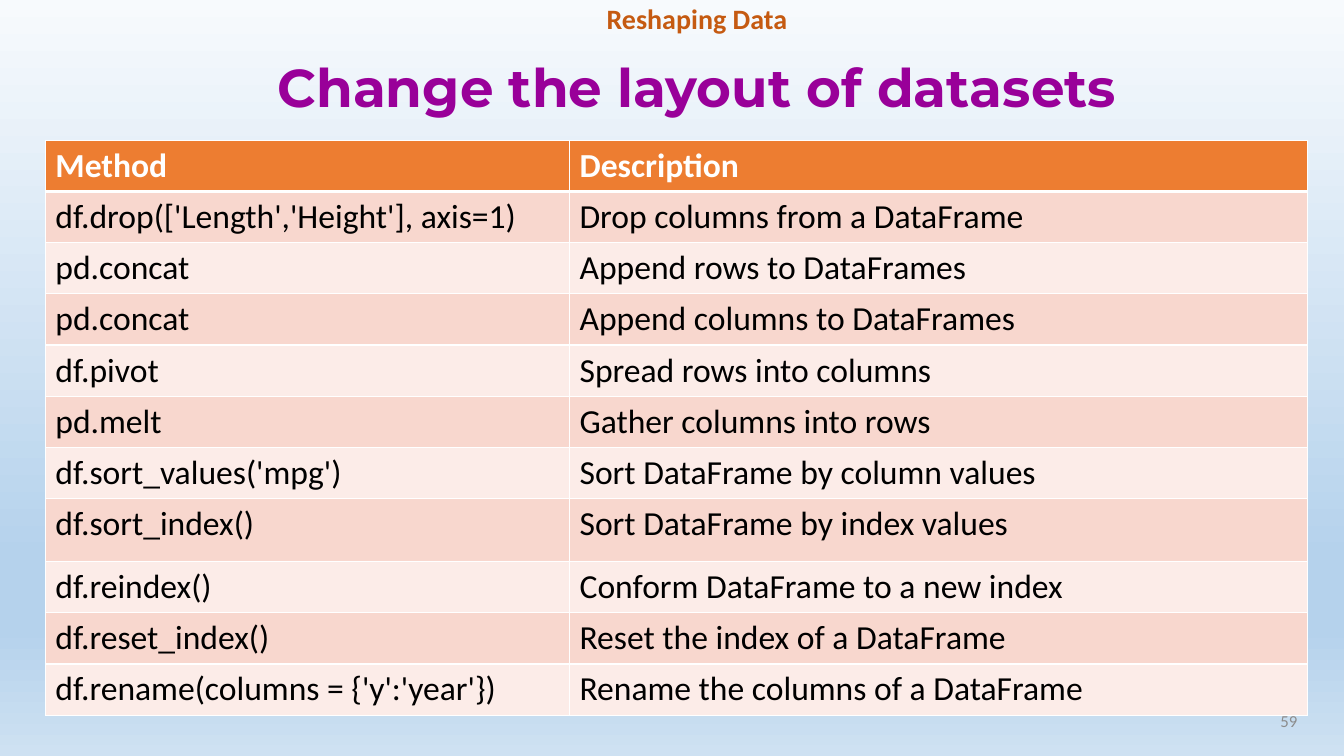
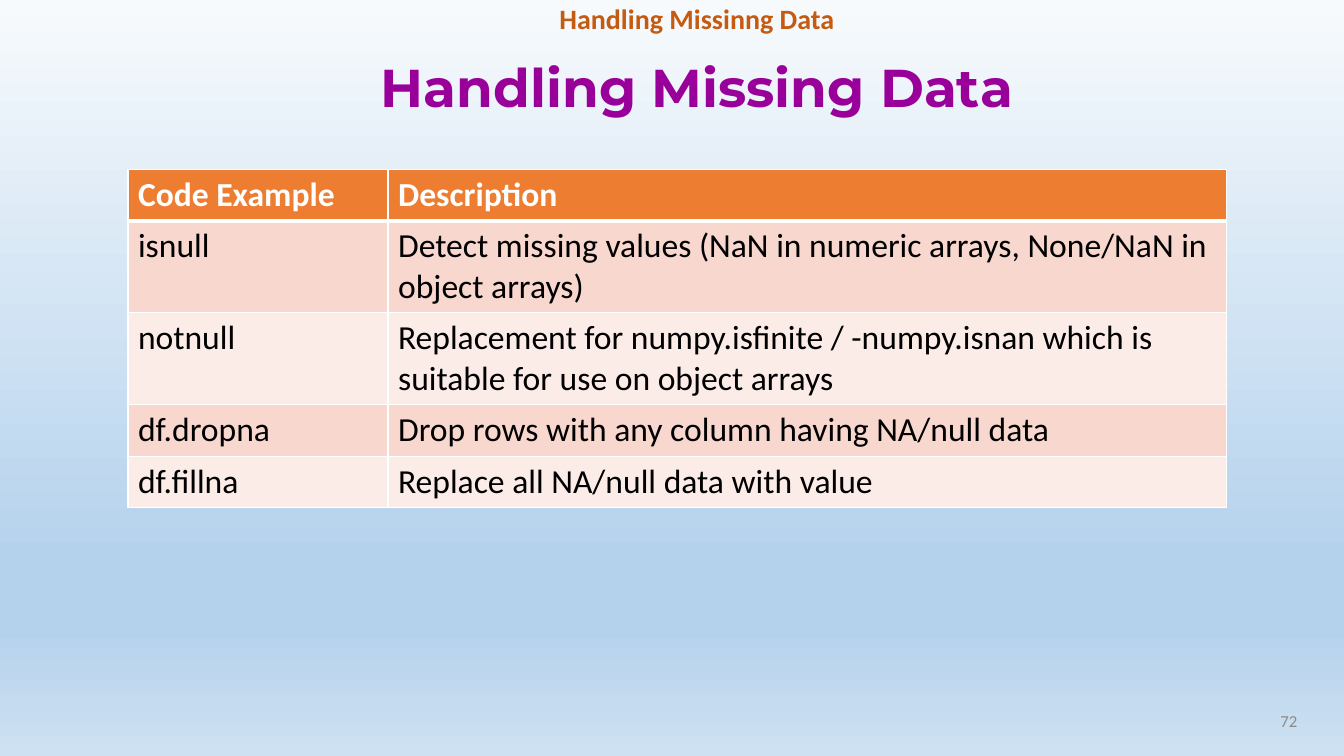
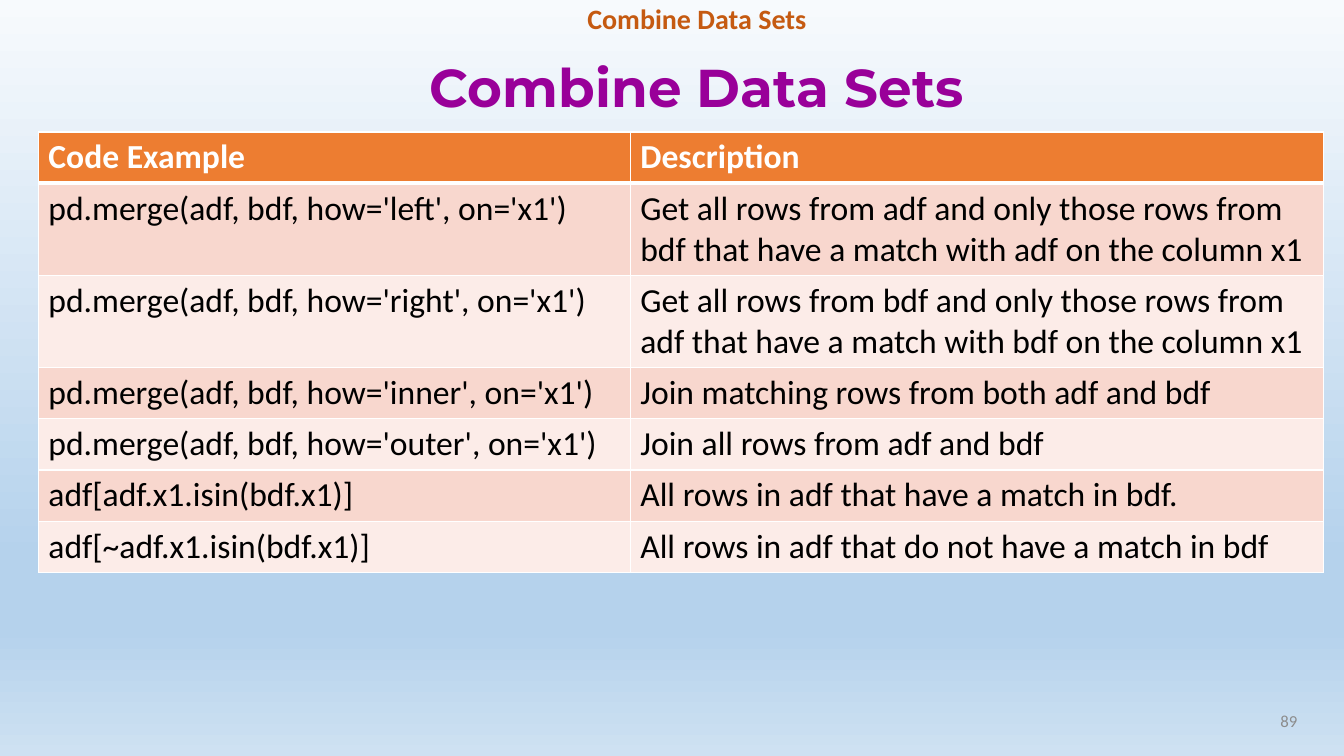
from copy import deepcopy
from dataclasses import dataclass, field

from lxml.etree import SubElement
from pptx import Presentation
from pptx.dml.color import RGBColor
from pptx.enum.text import MSO_ANCHOR as ANCHOR, PP_ALIGN as ALIGN
from pptx.oxml.ns import qn
from pptx.util import Pt

COLORS = {
    "title": "990099",
    "topic": "C55A11",
    "number": "8C8C8C",
    "header": "ED7D31",
    "odd": "F8D7CE",
    "even": "FCECE8",
    "border": "FFFFFF",
    "header_text": "FFFFFF",
    "cell_text": "000000",
}
BACKGROUND = [(0, "F7FAFD"), (74, "B5D2EC"), (83, "B5D2EC"), (100, "CEE1F2")]
ROW_HEIGHT = 36.6
TWO_LINES = 65.8


@dataclass(frozen=True)
class TextStyle:
    box: tuple[float, float, float, float]
    color: str
    font: dict
    paragraph: dict
    anchor: ANCHOR


@dataclass(frozen=True)
class TableSlide:
    topic: str
    title: str
    number: str
    left: float
    top: float
    widths: tuple[float, float]
    rows: list[tuple[str, str]]
    tall_rows: dict[int, float] = field(default_factory=dict)


TITLE = TextStyle(
    (62.6, 29.5, 870.5, 69.8), "title",
    {"name": "Montserrat", "size": Pt(38), "bold": True},
    {"alignment": ALIGN.CENTER, "line_spacing": 0.9}, ANCHOR.MIDDLE)
TOPIC = TextStyle(
    (188.6, 0, 618.5, 29.5), "topic",
    {"name": "Calibri", "size": Pt(20), "bold": True},
    {"alignment": ALIGN.CENTER, "line_spacing": 0.9}, ANCHOR.TOP)
NUMBER = TextStyle(
    (698.4, 500.4, 235.4, 28.8), "number",
    {"name": "Calibri", "size": Pt(12)},
    {"alignment": ALIGN.RIGHT}, ANCHOR.MIDDLE)

SLIDES = [
    TableSlide(
        "Reshaping Data", "Change the layout of datasets", "59",
        32.4, 100.1, (374.4, 527),
        [
            ("Method", "Description"),
            ("df.drop(['Length','Height'], axis=1)", "Drop columns from a DataFrame"),
            ("pd.concat", "Append rows to DataFrames"),
            ("pd.concat", "Append columns to DataFrames"),
            ("df.pivot", "Spread rows into columns"),
            ("pd.melt", "Gather columns into rows"),
            ("df.sort_values('mpg')", "Sort DataFrame by column values"),
            ("df.sort_index()", "Sort DataFrame by index values"),
            ("df.reindex()", "Conform DataFrame to a new index"),
            ("df.reset_index()", "Reset the index of a DataFrame"),
            ("df.rename(columns = {'y':'year'})", "Rename the columns of a DataFrame"),
        ],
        {7: 44.8}),
    TableSlide(
        "Handling Missinng Data", "Handling Missing Data", "72",
        91.4, 121, (185.8, 599),
        [
            ("Code Example", "Description"),
            ("isnull", "Detect missing values (NaN in numeric arrays, None/NaN in object arrays)"),
            ("notnull", "Replacement for numpy.isfinite / -numpy.isnan which is "
                        "suitable for use on object arrays"),
            ("df.dropna", "Drop rows with any column having NA/null data"),
            ("df.fillna", "Replace all NA/null data with value"),
        ],
        {1: TWO_LINES, 2: TWO_LINES}),
    TableSlide(
        "Combine Data Sets", "Combine Data Sets", "89",
        27.4, 94.3, (422.8, 495.4),
        [
            ("Code Example", "Description"),
            ("pd.merge(adf, bdf, how='left', on='x1')",
             "Get all rows from adf and only those rows from "
             "bdf that have a match with adf on the column x1"),
            ("pd.merge(adf, bdf, how='right', on='x1')",
             "Get all rows from bdf and only those rows from "
             "adf that have a match with bdf on the column x1"),
            ("pd.merge(adf, bdf, how='inner', on='x1')", "Join matching rows from both adf and bdf"),
            ("pd.merge(adf, bdf, how='outer', on='x1')", "Join all rows from adf and bdf"),
            ("adf[adf.x1.isin(bdf.x1)]", "All rows in adf that have a match in bdf."),
            ("adf[~adf.x1.isin(bdf.x1)]", "All rows in adf that do not have a match in bdf"),
        ],
        {1: TWO_LINES, 2: TWO_LINES}),
]


def set_attrs(target, values: dict) -> None:
    for name, value in values.items():
        setattr(target, name, value)


def write(p, text: str, font: dict, color: str) -> None:
    r = p.add_run()
    r.text = text
    set_attrs(r.font, font)
    r.font.color.rgb = RGBColor.from_string(COLORS[color])


def paint_background(master) -> None:
    fill = master.background.fill
    fill.gradient()
    fill.gradient_angle = 270
    stops = master.element.find(".//" + qn("a:gsLst"))
    for _ in BACKGROUND[len(stops):]:
        stops.append(deepcopy(stops[0]))
    for stop, (position, color) in zip(fill.gradient_stops, BACKGROUND):
        stop.position = position / 100
        stop.color.rgb = RGBColor.from_string(color)


def add_text(s, text: str, style: TextStyle) -> None:
    sp = s.shapes.add_textbox(*map(Pt, style.box))
    tf = sp.text_frame
    set_attrs(tf, {"word_wrap": True, "vertical_anchor": style.anchor})
    p = tf.paragraphs[0]
    set_attrs(p, style.paragraph)
    write(p, text, style.font, style.color)


def add_borders(cell, top: float, bottom: float) -> None:
    props = cell._tc.get_or_add_tcPr()
    for side, width in {"L": 1, "R": 1, "T": top, "B": bottom}.items():
        line = SubElement(props, qn(f"a:ln{side}"), w=str(Pt(width)))
        solid = SubElement(line, qn("a:solidFill"))
        SubElement(solid, qn("a:srgbClr"), val=COLORS["border"])


def add_method_table(s, data: TableSlide) -> None:
    heights = [data.tall_rows.get(i, ROW_HEIGHT) for i in range(len(data.rows))]
    frame = s.shapes.add_table(
        len(data.rows), len(data.widths), Pt(data.left), Pt(data.top),
        Pt(sum(data.widths)), Pt(sum(heights)))
    table = frame.table
    for column, width in zip(table.columns, data.widths):
        column.width = Pt(width)
    for i, (row, height, texts) in enumerate(zip(table.rows, heights, data.rows)):
        row.height = Pt(height)
        header = i == 0
        band = "header" if header else "odd" if i % 2 else "even"
        font = {"name": "Calibri", "size": Pt(24), "bold": header}
        for cell, text in zip(row.cells, texts):
            add_borders(cell, top=3 if i == 1 else 1, bottom=3 if header else 1)
            cell.fill.solid()
            cell.fill.fore_color.rgb = RGBColor.from_string(COLORS[band])
            write(cell.text_frame.paragraphs[0], text, font,
                  "header_text" if header else "cell_text")


def main() -> None:
    prs = Presentation()
    set_attrs(prs, {"slide_width": Pt(960), "slide_height": Pt(540)})
    paint_background(prs.slide_master)
    for data in SLIDES:
        s = prs.slides.add_slide(prs.slide_layouts[6])
        add_text(s, data.title, TITLE)
        add_text(s, data.number, NUMBER)
        add_text(s, data.topic, TOPIC)
        add_method_table(s, data)
    prs.save("out.pptx")


if __name__ == "__main__":
    main()
